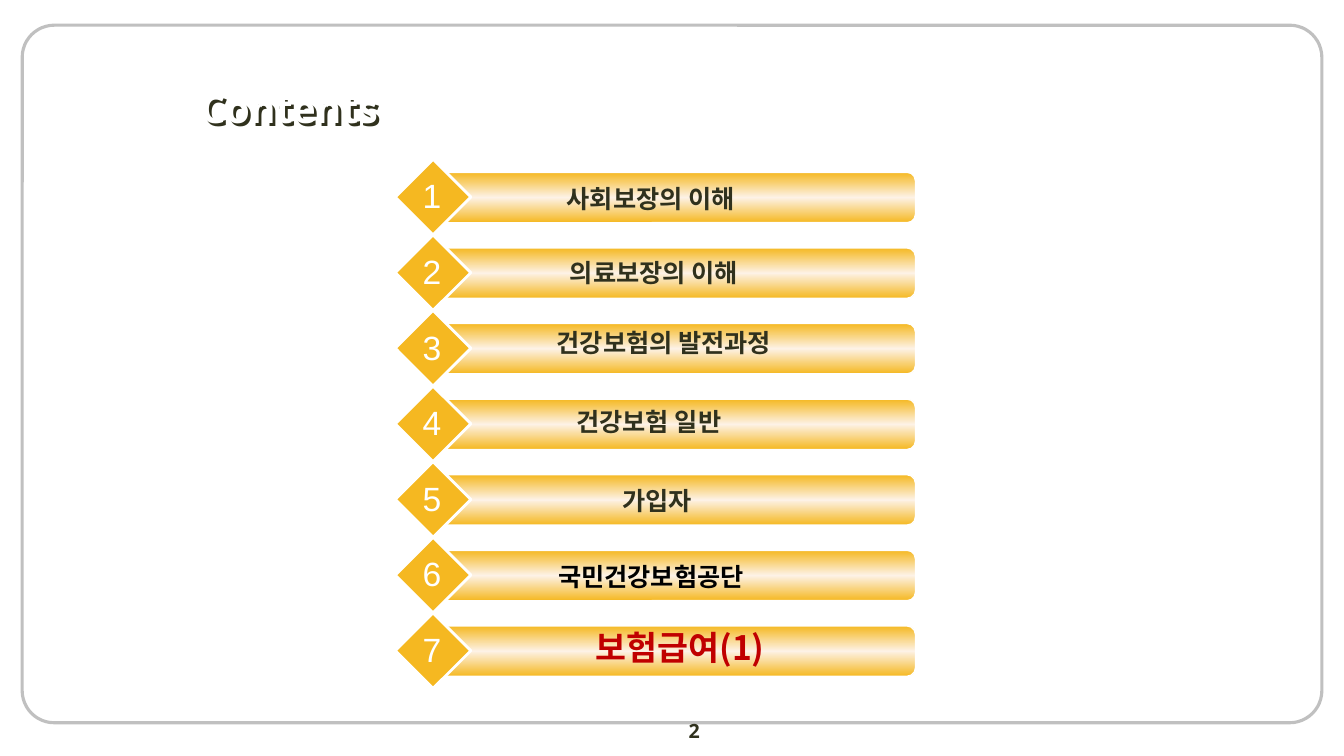
from copy import deepcopy
from pptx import Presentation
from pptx.dml.color import RGBColor as RGB
from pptx.enum.shapes import MSO_SHAPE as SHAPE
from pptx.enum.text import MSO_ANCHOR as ANCHOR, MSO_AUTO_SIZE as FIT, PP_ALIGN as ALIGN
from pptx.oxml import parse_xml
from pptx.oxml.ns import nsdecls, qn
from pptx.util import Inches as In, Pt

GOLD, CREAM, WHITE, DARK = "F5B821", "FDF2E6", "FFFFFF", "30311D"
KR = "Noto Sans CJK KR"
ROW, TOP, LEFT = 0.75, 1.58, 3.92
TITLE_BOX, SHADOW = (1.89, 0.78, 10.67, 0.58), 0.03
LABEL = dict(size=18, name=KR, color=DARK, bold=True)
NUMBER = dict(size=24, name="Arial", color=WHITE, bold=False)
TITLE = dict(size=28, name="Open Sans", color=WHITE, bold=True)
PAGE = dict(size=14, name="Open Sans", color=DARK, bold=True)
TOPICS = [
    ("사회보장의 이해", 0.66, 0.19, {"name": "Arial"}),
    ("의료보장의 이해", 0.69, 0.17, {"name": "Arial"}),
    ("건강보험의 발전과정", 0.79, 0.12, {}),
    ("건강보험 일반", 0.64, 0.15, {}),
    ("가입자", 0.72, 0.19, {}),
    ("국민건강보험공단", 0.66, 0.19, {"name": "Arial", "color": "000000"}),
    ("보험급여(1)", 0.95, 0.09, {"size": 24, "color": "C00000"}),
]


def rgb(value):
    return RGB.from_string(value)


def write(tf, text, align, size, color, **font):
    p = tf.paragraphs[0]
    p.alignment = align
    r = p.add_run()
    r.text = text
    r.font.size = Pt(size)
    r.font.color.rgb = rgb(color)
    for key, value in font.items():
        setattr(r.font, key, value)
    ea = parse_xml(f'<a:ea {nsdecls("a")} typeface="{KR}"/>')
    r.font._element.find(qn("a:latin")).addnext(ea)


def add_text(slide, box, text, fmt, wrap=True, fit=FIT.SHAPE_TO_FIT_TEXT,
             align=ALIGN.CENTER, anchor=ANCHOR.TOP):
    tf = slide.shapes.add_textbox(*map(In, box)).text_frame
    tf.word_wrap = wrap
    tf.auto_size = fit
    tf.vertical_anchor = anchor
    write(tf, text, align, **fmt)


def add_shape(slide, kind, box, line, width, fill=None, corner=None):
    sp = slide.shapes.add_shape(kind, *map(In, box))
    sp.shadow.inherit = False
    sp.line.color.rgb = rgb(line)
    sp.line.width = Pt(width)
    if corner:
        sp.adjustments[0] = corner
    if fill:
        sp.fill.solid()
        sp.fill.fore_color.rgb = rgb(fill)
    else:
        sp.fill.background()
    return sp


def shade(sp, colors):
    sp.fill.gradient()
    sp.fill.gradient_angle = 90
    first = sp._element.spPr.find(".//" + qn("a:gs"))
    first.addnext(deepcopy(first))
    for i, (stop, color) in enumerate(zip(sp.fill.gradient_stops, colors)):
        stop.position = i / (len(colors) - 1)
        stop.color.rgb = rgb(color)


def add_title(slide, text):
    x, y, w, h = TITLE_BOX
    add_text(slide, (x + SHADOW, y + SHADOW, w, h), text, {**TITLE, "color": DARK},
             fit=FIT.NONE, align=ALIGN.LEFT, anchor=ANCHOR.MIDDLE)
    sp = slide.shapes.title
    for key, value in zip(("left", "top", "width", "height"), TITLE_BOX):
        setattr(sp, key, In(value))
    sp.text_frame.auto_size = FIT.NONE
    sp.text_frame.vertical_anchor = ANCHOR.MIDDLE
    write(sp.text_frame, text, ALIGN.LEFT, **TITLE)
    slide.shapes._spTree.append(sp._element)


def add_topic(slide, i, text, dx, dy, fmt):
    y = TOP + i * ROW
    bar = add_shape(slide, SHAPE.ROUNDED_RECTANGLE, (LEFT + 0.41, y + 0.13, 4.75, 0.5),
                    WHITE, 1, GOLD, 0.167)
    shade(bar, (GOLD, CREAM, GOLD))
    add_shape(slide, SHAPE.DIAMOND, (LEFT, y, ROW, ROW), WHITE, 2, GOLD)
    font = {**LABEL, **fmt}
    add_text(slide, (LEFT + dx, y + dy, 3.75, 0.5 if font["size"] > 18 else 0.4), text, font)
    add_text(slide, (LEFT + 0.17, y + 0.11, 0.39, 0.5), str(i + 1), NUMBER, wrap=False)


def main():
    prs = Presentation()
    prs.slide_width, prs.slide_height = In(13.33), In(7.5)
    slide = prs.slides.add_slide(prs.slide_layouts[5])
    add_shape(slide, SHAPE.ROUNDED_RECTANGLE, (0.22, 0.25, 12.89, 6.92), "C0C0C0", 2.25, corner=0.046)
    add_text(slide, (5.33, 7.08, 3.11, 0.27), "2", PAGE, fit=FIT.NONE)
    add_title(slide, "Contents")
    for i, topic in enumerate(TOPICS):
        add_topic(slide, i, *topic)
    prs.save("out.pptx")


main()
